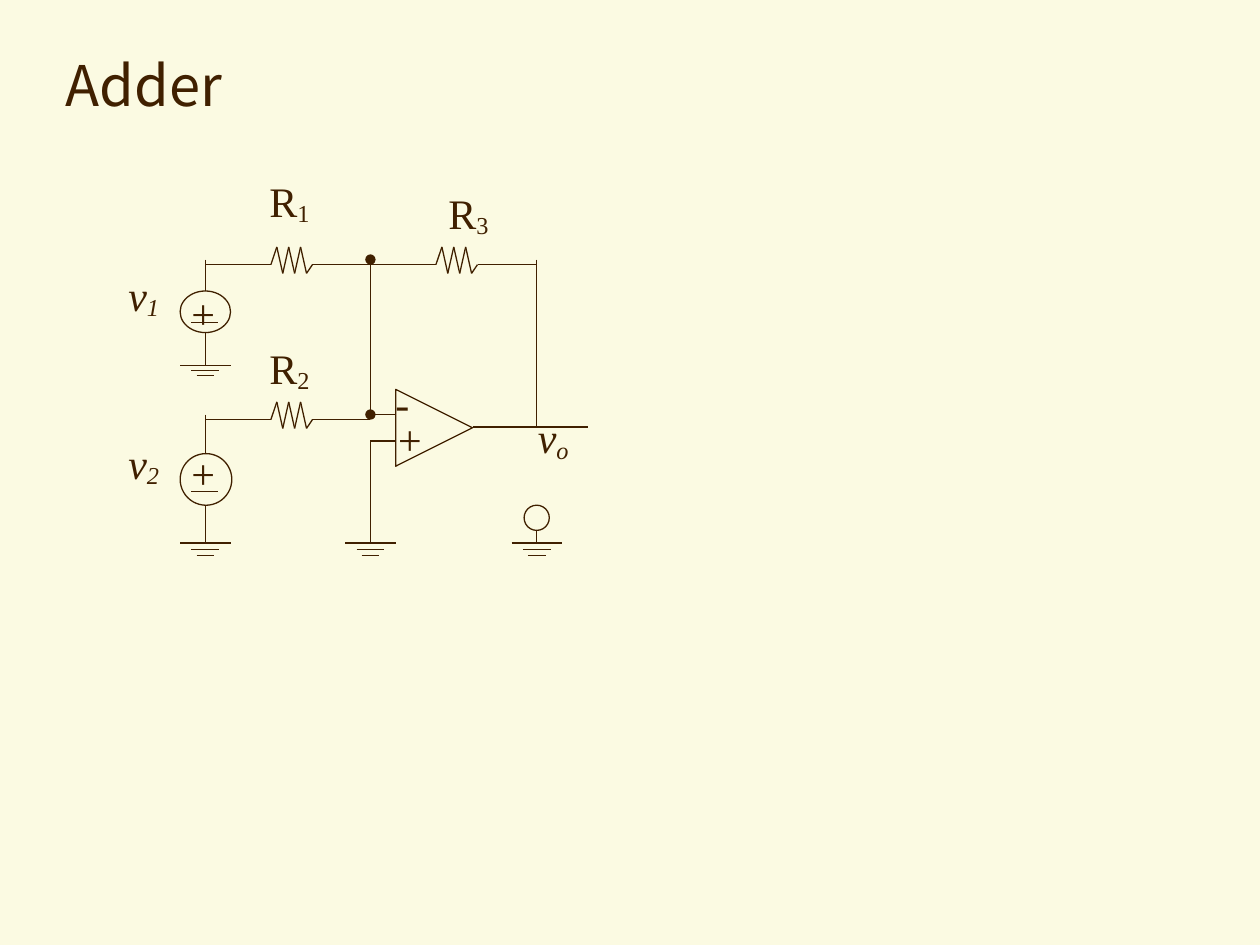
from itertools import pairwise

from lxml import etree
from pptx import Presentation
from pptx.dml.color import RGBColor
from pptx.enum.shapes import MSO_CONNECTOR, MSO_SHAPE
from pptx.enum.text import MSO_ANCHOR, MSO_AUTO_SIZE, PP_ALIGN
from pptx.oxml.ns import qn
from pptx.util import Inches, Pt

STRAIGHT = MSO_CONNECTOR.STRAIGHT
OVAL, TRIANGLE = MSO_SHAPE.OVAL, MSO_SHAPE.ISOSCELES_TRIANGLE
MIDDLE, LEFT = MSO_ANCHOR.MIDDLE, PP_ALIGN.LEFT
NO_FIT, GROW = MSO_AUTO_SIZE.NONE, MSO_AUTO_SIZE.SHAPE_TO_FIT_TEXT

THEME = {
    "ink": RGBColor.from_string("402000"),
    "paper": RGBColor.from_string("FBFAE2"),
    "line": Pt(0.75),
    "title": {"name": "Noto Sans CJK KR", "size": Pt(32)},
    "label": {"name": "Times New Roman", "size": Pt(24)},
    "subscript": "-12000",
}

# Grid in inches: one column per vertical branch, one row per horizontal wire
SOURCE, NODE, OUTPUT = 1.63, 2.94, 4.26
TOP, MINUS, OUT, PLUS, GROUND = 2.1, 3.33, 3.39, 3.5, 4.31
STUB = 0.04  # vertical wires rise this far above their row
OPAMP_LEFT, OPAMP_SIZE = 3.14, 0.61

deck = Presentation()
deck.slide_width, deck.slide_height = Inches(10), Inches(7.5)
page = deck.slides.add_slide(deck.slide_layouts[5])
page.background.fill.solid()
page.background.fill.fore_color.rgb = THEME["paper"]

title = page.shapes.title
title.left, title.top, title.width, title.height = map(Inches, (0.42, 0.25, 9.17, 0.83))
title.text = "Adder"
title.text_frame.vertical_anchor = MIDDLE
title.text_frame.auto_size = NO_FIT
heading = title.text_frame.paragraphs[0]
heading.alignment = LEFT
for name, value in THEME["title"].items():
    setattr(heading.runs[0].font, name, value)
heading.runs[0].font.color.rgb = THEME["ink"]

circuit = page.shapes.add_group_shape().shapes


def wire(x1, y1, x2, y2, dots=False):
    line = circuit.add_connector(STRAIGHT, *map(Inches, (x1, y1, x2, y2)))
    line.line.color.rgb = THEME["ink"]
    line.line.width = THEME["line"]
    properties = line._element.spPr
    if dots:
        for end in ("a:headEnd", "a:tailEnd"):
            etree.SubElement(properties.find(qn("a:ln")), qn(end), type="oval")
    etree.SubElement(properties, qn("a:effectLst"))


def label(x, y, width, height, lines, italic=False, wrap=False, spacing=None):
    """Each line is a tuple: its text, then an optional subscript."""
    box = circuit.add_textbox(*map(Inches, (x, y, width, height)))
    frame = box.text_frame
    frame.word_wrap = wrap
    frame.auto_size = GROW
    for index, parts in enumerate(lines):
        para = frame.add_paragraph() if index else frame.paragraphs[0]
        para.line_spacing = spacing
        for position, text in enumerate(parts):
            span = para.add_run()
            span.text = text
            for name, value in {**THEME["label"], "italic": italic}.items():
                setattr(span.font, name, value)
            span.font.color.rgb = THEME["ink"]
            if position:
                span._r.get_or_add_rPr().set("baseline", THEME["subscript"])


# Resistors with their leads
for start, end, row in ((SOURCE, NODE, TOP), (NODE, OUTPUT, TOP), (SOURCE, NODE, MINUS)):
    left, right = start + 0.52, start + 0.85
    wire(start, row, left, row)
    wire(right, row, end, row)
    heights = (0, -0.14, 0.07, -0.14, 0.07, -0.14, 0.07, 0)
    step = (right - left) / (len(heights) - 1)
    zigzag = [(left + step * i, row + rise) for i, rise in enumerate(heights)]
    for first, second in pairwise(zigzag):
        wire(*first, *second)

# Summing node, feedback and op-amp wires
wire(NODE, TOP - STUB, NODE, MINUS - STUB, dots=True)
wire(NODE, MINUS - STUB, OPAMP_LEFT, MINUS - STUB)
wire(NODE, PLUS, OPAMP_LEFT, PLUS)
wire(NODE, PLUS, NODE, GROUND)
wire(OUTPUT, TOP - STUB, OUTPUT, OUT)
wire(OPAMP_LEFT + OPAMP_SIZE, OUT, 4.67, OUT)
wire(OUTPUT, 4.21, OUTPUT, GROUND)

# Voltage sources: wire row, circle top and height, plus sign, minus bar, ground
for row, top, height, plus, bar, ground in (
    (TOP, 2.31, 0.33, 2.23, 2.56, 2.9),
    (MINUS, 3.6, 0.41, 3.5, 3.9, GROUND),
):
    wire(SOURCE, row - STUB, SOURCE, top)
    wire(SOURCE, top + height, SOURCE, ground)
    wire(SOURCE - 0.11, bar, SOURCE + 0.1, bar)
    label(1.42, plus, 0.4, 0.5, [("+",)], wrap=True)

# Ground symbols: column, row, gap between bars
for column, row, gap in (
    (SOURCE, 2.9, 0.04),
    (SOURCE, GROUND, 0.05),
    (NODE, GROUND, 0.05),
    (OUTPUT, GROUND, 0.05),
):
    for index, half in enumerate((0.2, 0.11, 0.07)):
        wire(column - half, row + gap * index, column + half, row + gap * index)

# Outlined shapes: op-amp, two sources, output terminal
for kind, x, y, width, height, turn in (
    (TRIANGLE, OPAMP_LEFT, 3.09, OPAMP_SIZE, OPAMP_SIZE, 90),
    (OVAL, SOURCE - 0.2, 2.31, 0.4, 0.33, 0),
    (OVAL, SOURCE - 0.2, 3.6, 0.41, 0.41, 0),
    (OVAL, OUTPUT - 0.1, 4.01, 0.2, 0.2, 0),
):
    outline = circuit.add_shape(kind, *map(Inches, (x, y, width, height)))
    outline.rotation = turn
    outline.shadow.inherit = False
    outline.fill.background()
    outline.line.color.rgb = THEME["ink"]
    outline.line.width = THEME["line"]

for x, y, index in ((2.04, 1.34, "1"), (2.04, 2.67, "2"), (3.46, 1.44, "3")):
    label(x, y, 0.52, 0.51, [("R", index)])
for x, y, index in ((0.92, 2.09, "1"), (0.92, 3.42, "2"), (4.17, 3.22, "o")):
    label(x, y, 0.5, 0.51, [("v", index)], italic=True)
label(3.04, 3.06, 0.51, 0.66, [("-",), ("+",)], italic=True, wrap=True, spacing=0.7)

deck.save("out.pptx")
